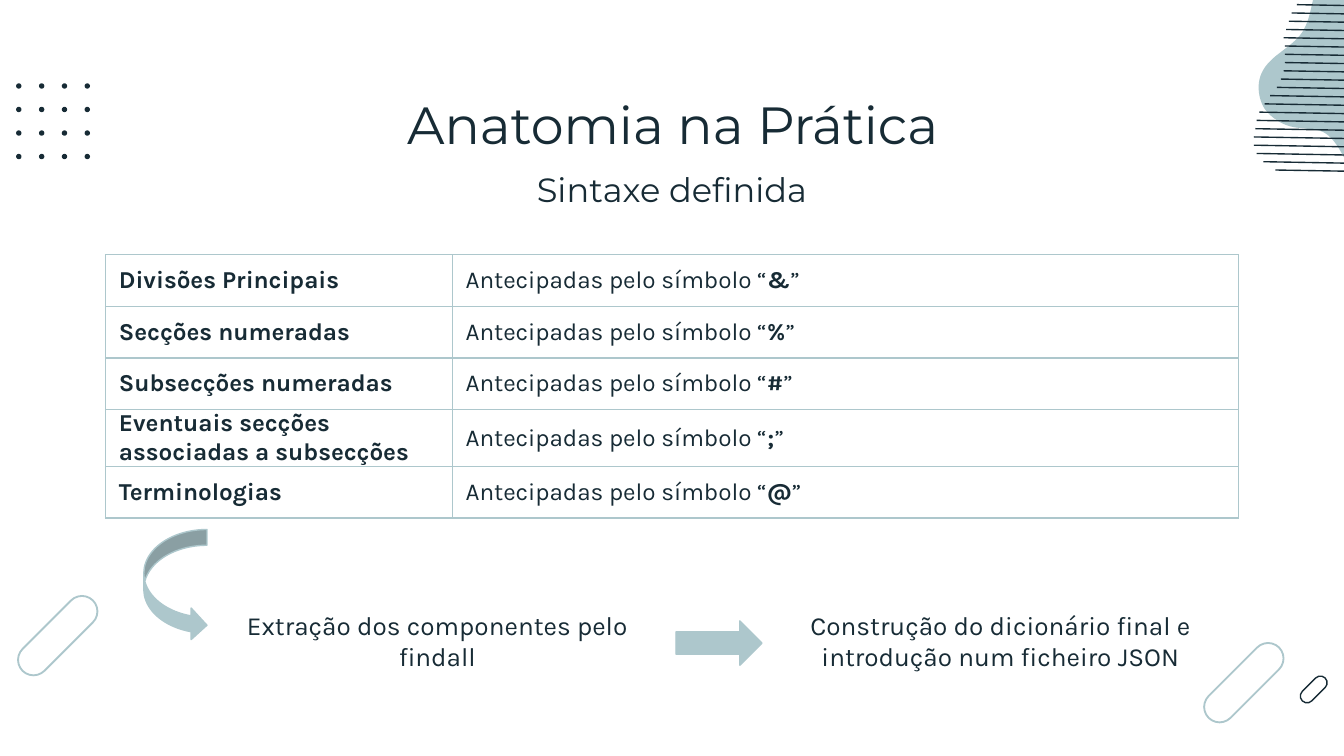
from math import radians, tan

from lxml.etree import SubElement
from pptx import Presentation
from pptx.dml.color import RGBColor
from pptx.enum.shapes import MSO_CONNECTOR as Connector, MSO_SHAPE as Shape
from pptx.enum.text import MSO_ANCHOR as Anchor, PP_ALIGN as Align
from pptx.oxml.ns import qn
from pptx.util import Pt

PX = 4572  # EMU; 200 px to the inch
WIDTH, HEIGHT = 2000, 1125
INSET = 20
COLORS = {"ink": "172B35", "mist": "ADC7CC"}
HEADING, BODY = "Montserrat", "Karla"

SYNTAX = [
    ("Divisões Principais", "&"),
    ("Secções numeradas", "%"),
    ("Subsecções numeradas", "#"),
    ("Eventuais secções associadas a subsecções", ";"),
    ("Terminologias", "@"),
]
COLUMN_WIDTHS = [516, 1170]
ROW_HEIGHTS = [77, 77, 77, 84, 77]

STRIPE_LEFTS = [1930, 1922, 1918, 1914, 1910, 1912, 1912, 1912, 1910, 1906, 1900,
                1890, 1882, 1874, 1870, 1868, 1866, 1866, 1870, 1880, 1898]
BLOB_START = (2000, 234)
BLOB_CURVES = [
    ((1992, 220), (1984, 204), (1968, 196)),
    ((1956, 192), (1944, 192), (1930, 190)),
    ((1912, 188), (1894, 178), (1882, 162)),
    ((1872, 146), (1870, 124), (1878, 108)),
    ((1890, 82), (1922, 72), (1938, 48)),
    ((1948, 32), (1950, 16), (1954, 0)),
]


def color(name):
    return RGBColor.from_string(COLORS[name])


def emu(*lengths):
    return [round(length * PX) for length in lengths]


def add_preset(page, kind, box, fill=None, line=None, points=0.75):
    shape = page.shapes.add_shape(kind, *emu(*box))
    paint(shape, fill, line, points)
    return shape


def paint(shape, fill=None, line=None, points=0.75):
    shape.shadow.inherit = False
    if fill:
        shape.fill.solid()
        shape.fill.fore_color.rgb = color(fill)
    else:
        shape.fill.background()
    if line:
        shape.line.color.rgb = color(line)
        shape.line.width = Pt(points)
    else:
        shape.line.fill.background()


def style_run(span, font, size, bold=False):
    span.font.name, span.font.size, span.font.bold = font, Pt(size), bold
    span.font.color.rgb = color("ink")


def add_text(page, box, text, font, size, anchor=Anchor.BOTTOM):
    frame = page.shapes.add_textbox(*emu(*box)).text_frame
    frame.word_wrap = True
    frame.vertical_anchor = anchor
    frame.margin_left = frame.margin_right = INSET * PX
    frame.margin_top = frame.margin_bottom = INSET * PX
    frame.text = text
    para = frame.paragraphs[0]
    para.alignment = Align.CENTER
    style_run(para.runs[0], font, size)


def add_pill(page, box, line, points):
    """Draw a capsule outline, tilted by 45 degrees about the centre of its box."""
    pill = add_preset(page, Shape.ROUNDED_RECTANGLE, box, line=line, points=points)
    pill.adjustments[0] = 0.5
    pill.rotation = 315


def add_dot_grid(page, left, top, count=4, gap_x=34, gap_y=35, size=8):
    for row in range(count):
        for column in range(count):
            box = (left + column * gap_x, top + row * gap_y, size, size)
            add_preset(page, Shape.OVAL, box, fill="ink")


def curve_points(start, first, second, end, steps=16):
    """Sample a cubic curve, leaving out its start."""
    for step in range(1, steps + 1):
        t = step / steps
        yield tuple((1 - t) ** 3 * a + 3 * t * (1 - t) ** 2 * b
                    + 3 * t * t * (1 - t) * c + t ** 3 * d
                    for a, b, c, d in zip(start, first, second, end))


def add_blob(page):
    points, start = [], BLOB_START
    for curve in BLOB_CURVES:
        points.extend(curve_points(start, *curve))
        start = curve[-1]
    points.append((WIDTH, 0))
    builder = page.shapes.build_freeform(*emu(*BLOB_START), scale=1.0)
    builder.add_line_segments([emu(*point) for point in points], close=True)
    paint(builder.convert_to_shape(), fill="mist")


def add_stripes(page, top=7, gap=12.3):
    """Draw lines that fall by one degree towards the right edge of the page."""
    for index, left in enumerate(STRIPE_LEFTS):
        y = top + index * gap
        fall = (WIDTH - left) * tan(radians(1))
        stripe = page.shapes.add_connector(
            Connector.STRAIGHT, *emu(left, y, WIDTH, y + fall))
        stripe.line.color.rgb = color("ink")
        stripe.line.width = Pt(0.75)
        SubElement(stripe._element.spPr, qn("a:effectLst"))


def add_decoration(page):
    add_pill(page, (1777, 993, 148, 46), "mist", 1)
    add_pill(page, (1931, 1016, 48, 20), "ink", 0.75)
    add_pill(page, (12, 923, 148, 46), "mist", 1)
    add_blob(page)
    add_stripes(page)
    add_dot_grid(page, 24, 124)


def border_cell(cell):
    properties = cell._tc.get_or_add_tcPr()
    for index, side in enumerate(("lnL", "lnR", "lnT", "lnB")):
        line = properties.makeelement(qn(f"a:{side}"), {"w": str(Pt(0.75))})
        fill = SubElement(line, qn("a:solidFill"))
        SubElement(fill, qn("a:srgbClr"), val=COLORS["mist"])
        properties.insert(index, line)


def fill_cell(cell, spans):
    """Write (text, bold) spans into a plain bordered cell."""
    cell.fill.background()
    border_cell(cell)
    cell.vertical_anchor = Anchor.MIDDLE
    cell.margin_left = cell.margin_right = INSET * PX
    cell.margin_top = cell.margin_bottom = 0
    for text, bold in spans:
        span = cell.text_frame.paragraphs[0].add_run()
        span.text = text
        style_run(span, BODY, 13, bold)


def add_syntax_table(page, left, top):
    box = (left, top, sum(COLUMN_WIDTHS), sum(ROW_HEIGHTS))
    table = page.shapes.add_table(
        len(SYNTAX), len(COLUMN_WIDTHS), *emu(*box)).table
    table.first_row = table.horz_banding = False
    for column, width in zip(table.columns, COLUMN_WIDTHS):
        column.width = width * PX
    for index, (name, symbol) in enumerate(SYNTAX):
        table.rows[index].height = ROW_HEIGHTS[index] * PX
        fill_cell(table.cell(index, 0), [(name, True)])
        fill_cell(table.cell(index, 1), [("Antecipadas pelo símbolo “", False),
                                         (symbol, True), ("”", False)])


def add_steps(page, left, top):
    """Place the two processing steps and the arrows that lead to them."""
    add_preset(page, Shape.CURVED_RIGHT_ARROW, (left, top, 94, 166), "mist", "mist")
    add_text(page, (left + 106, top + 106, 662, 126),
             "Extração dos componentes pelo findall", BODY, 14)
    add_preset(page, Shape.RIGHT_ARROW, (left + 792, top + 136, 128, 66),
               "mist", "mist")
    add_text(page, (left + 944, top + 106, 662, 126),
             "Construção do dicionário final e introdução num ficheiro JSON", BODY, 14)


def main():
    deck = Presentation()
    deck.slide_width, deck.slide_height = emu(WIDTH, HEIGHT)
    page = deck.slides.add_slide(deck.slide_layouts[6])
    add_decoration(page)
    add_syntax_table(page, 157, 379)
    add_text(page, (158, 118, 1686, 126), "Anatomia na Prática", HEADING, 28, Anchor.TOP)
    add_text(page, (722, 242, 556, 90), "Sintaxe definida", HEADING, 18)
    add_steps(page, 214, 788)
    deck.save("out.pptx")


if __name__ == "__main__":
    main()
